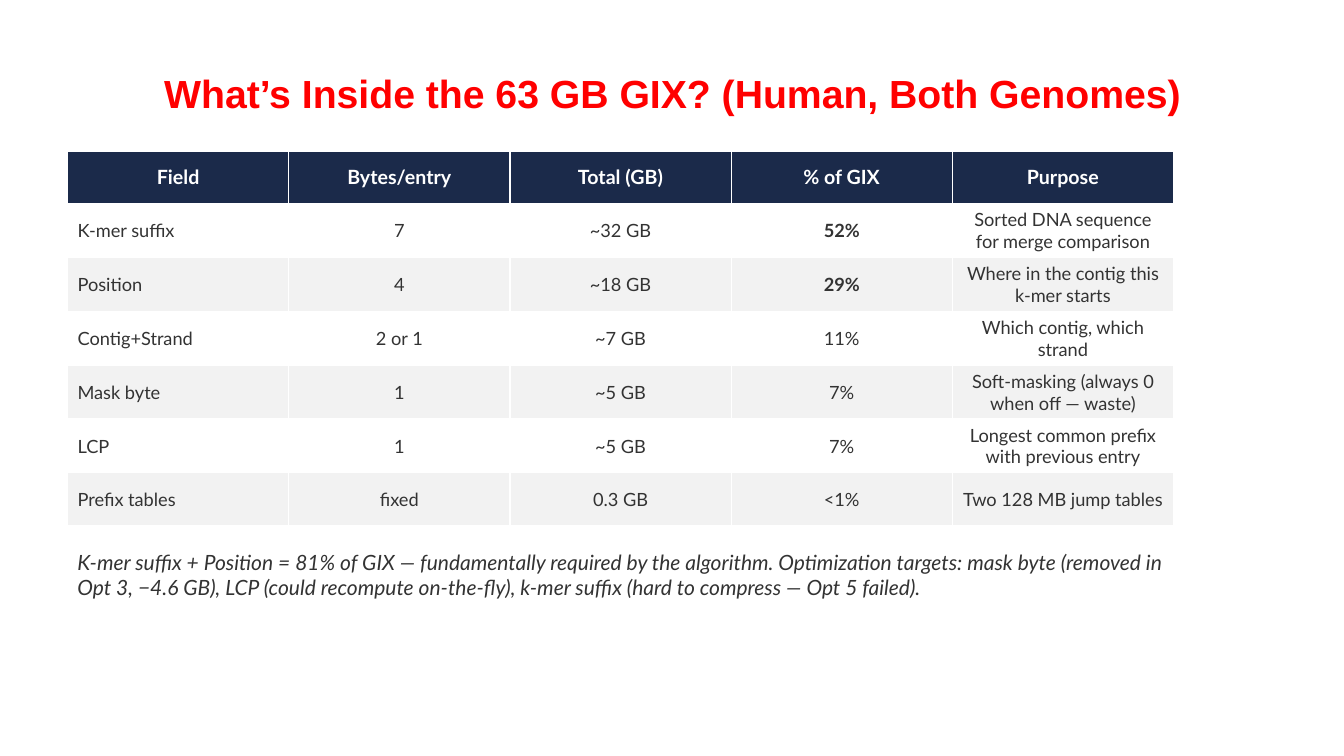
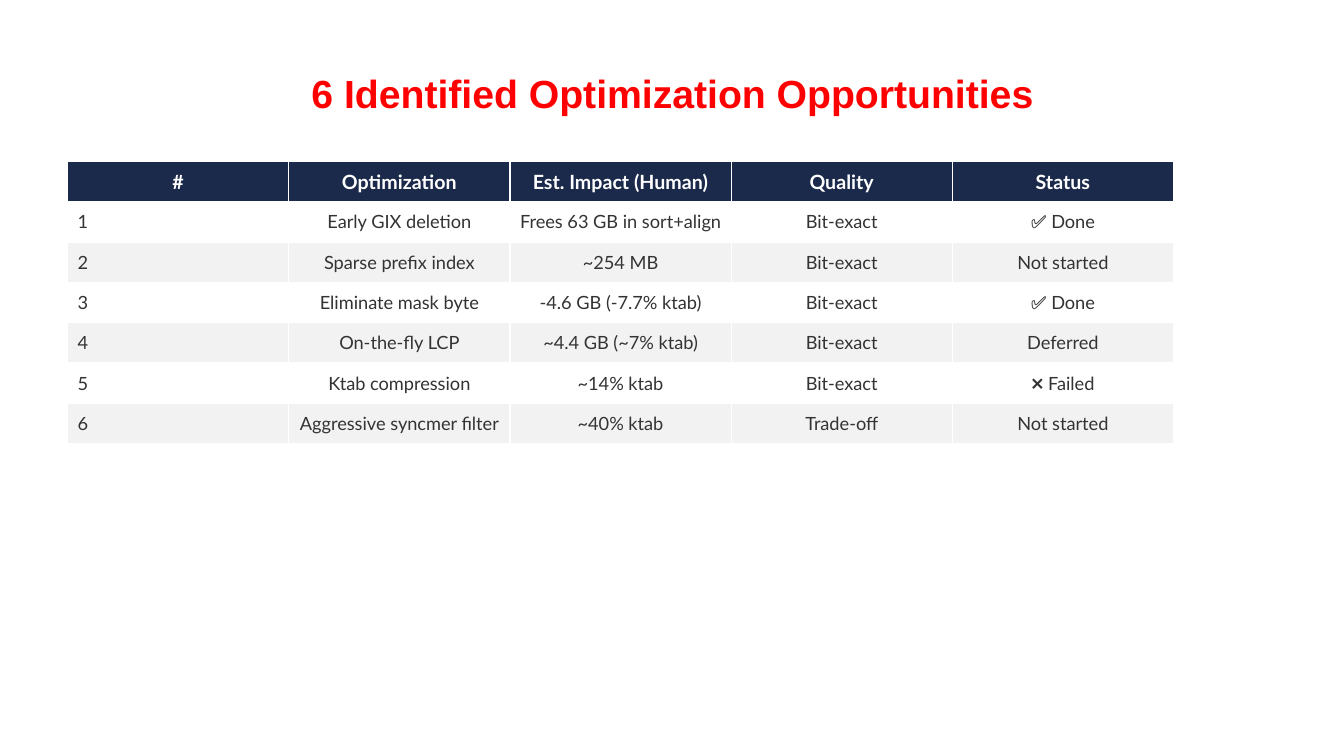
from pptx import Presentation
from pptx.dml.color import RGBColor
from pptx.enum.text import MSO_ANCHOR, PP_ALIGN
from pptx.util import Inches, Pt

RED, NAVY, WHITE, GREY, INK = "FF0000", "1B2A4A", "FFFFFF", "F2F2F2", "333333"
LEFT, WIDTH = 0.67, 10.97

SLIDES = [
    {
        "title": "What’s Inside the 63 GB GIX? (Human, Both Genomes)",
        "top": 1.5,
        "step": 0.52,
        "bold": ("52%", "29%"),
        "rows": [
            ("Field", "Bytes/entry", "Total (GB)", "% of GIX", "Purpose"),
            ("K-mer suffix", "7", "~32 GB", "52%", "Sorted DNA sequence for merge comparison"),
            ("Position", "4", "~18 GB", "29%", "Where in the contig this k-mer starts"),
            ("Contig+Strand", "2 or 1", "~7 GB", "11%", "Which contig, which strand"),
            ("Mask byte", "1", "~5 GB", "7%", "Soft-masking (always 0 when off — waste)"),
            ("LCP", "1", "~5 GB", "7%", "Longest common prefix with previous entry"),
            ("Prefix tables", "fixed", "0.3 GB", "<1%", "Two 128 MB jump tables"),
        ],
        "note": "K-mer suffix + Position = 81% of GIX — fundamentally required by the "
                "algorithm. Optimization targets: mask byte (removed in Opt 3, −4.6 GB), "
                "LCP (could recompute on-the-fly), k-mer suffix (hard to compress — "
                "Opt 5 failed).",
    },
    {
        "title": "6 Identified Optimization Opportunities",
        "top": 1.6,
        "step": 0.4,
        "bold": (),
        "rows": [
            ("#", "Optimization", "Est. Impact (Human)", "Quality", "Status"),
            ("1", "Early GIX deletion", "Frees 63 GB in sort+align", "Bit-exact", "✅ Done"),
            ("2", "Sparse prefix index", "~254 MB", "Bit-exact", "Not started"),
            ("3", "Eliminate mask byte", "-4.6 GB (-7.7% ktab)", "Bit-exact", "✅ Done"),
            ("4", "On-the-fly LCP", "~4.4 GB (~7% ktab)", "Bit-exact", "Deferred"),
            ("5", "Ktab compression", "~14% ktab", "Bit-exact", "❌ Failed"),
            ("6", "Aggressive syncmer filter", "~40% ktab", "Trade-off", "Not started"),
        ],
        "note": "",
    },
]


def color(code):
    return RGBColor.from_string(code)


def write(frame, text, size=13, font="Lato", ink=INK, bold=False, italic=False,
          align=PP_ALIGN.CENTER, anchor=MSO_ANCHOR.MIDDLE):
    frame.word_wrap = True
    frame.vertical_anchor = anchor
    para = frame.paragraphs[0]
    para.alignment = align
    run = para.add_run()
    run.text = text
    run.font.size = Pt(size)
    run.font.name = font
    run.font.bold = bold
    run.font.italic = italic
    run.font.color.rgb = color(ink)


def box(slide, top, width, height, text, **style):
    shape = slide.shapes.add_textbox(Inches(LEFT), Inches(top), Inches(width), Inches(height))
    write(shape.text_frame, text, **style)


def grid(slide, rows, top, step, bold):
    count = len(rows[0])
    table = slide.shapes.add_table(len(rows), count, Inches(LEFT), Inches(top),
                                   Inches(WIDTH), Inches(step * len(rows))).table
    for r, row in enumerate(rows):
        table.rows[r].height = Inches(step)
        for c, text in enumerate(row):
            cell = table.cell(r, c)
            cell.fill.solid()
            cell.fill.fore_color.rgb = color(NAVY if r == 0 else WHITE if r % 2 else GREY)
            if r == 0:
                style = {"size": 14, "ink": WHITE, "bold": True}
            else:
                style = {"bold": text in bold,
                         "align": PP_ALIGN.CENTER if c else PP_ALIGN.LEFT}
            write(cell.text_frame, text, **style)
            cell.vertical_anchor = MSO_ANCHOR.MIDDLE


def main():
    deck = Presentation()
    deck.slide_width, deck.slide_height = Inches(13.33), Inches(7.5)
    for page in SLIDES:
        slide = deck.slides.add_slide(deck.slide_layouts[6])
        box(slide, 0.3, 12, 1.25, page["title"], size=28, font="Arial", ink=RED, bold=True)
        grid(slide, page["rows"], page["top"], page["step"], page["bold"])
        if page["note"]:
            box(slide, 5.4, WIDTH, 1.5, page["note"], size=15, italic=True,
                align=PP_ALIGN.LEFT, anchor=MSO_ANCHOR.TOP)
    deck.save("out.pptx")


if __name__ == "__main__":
    main()
